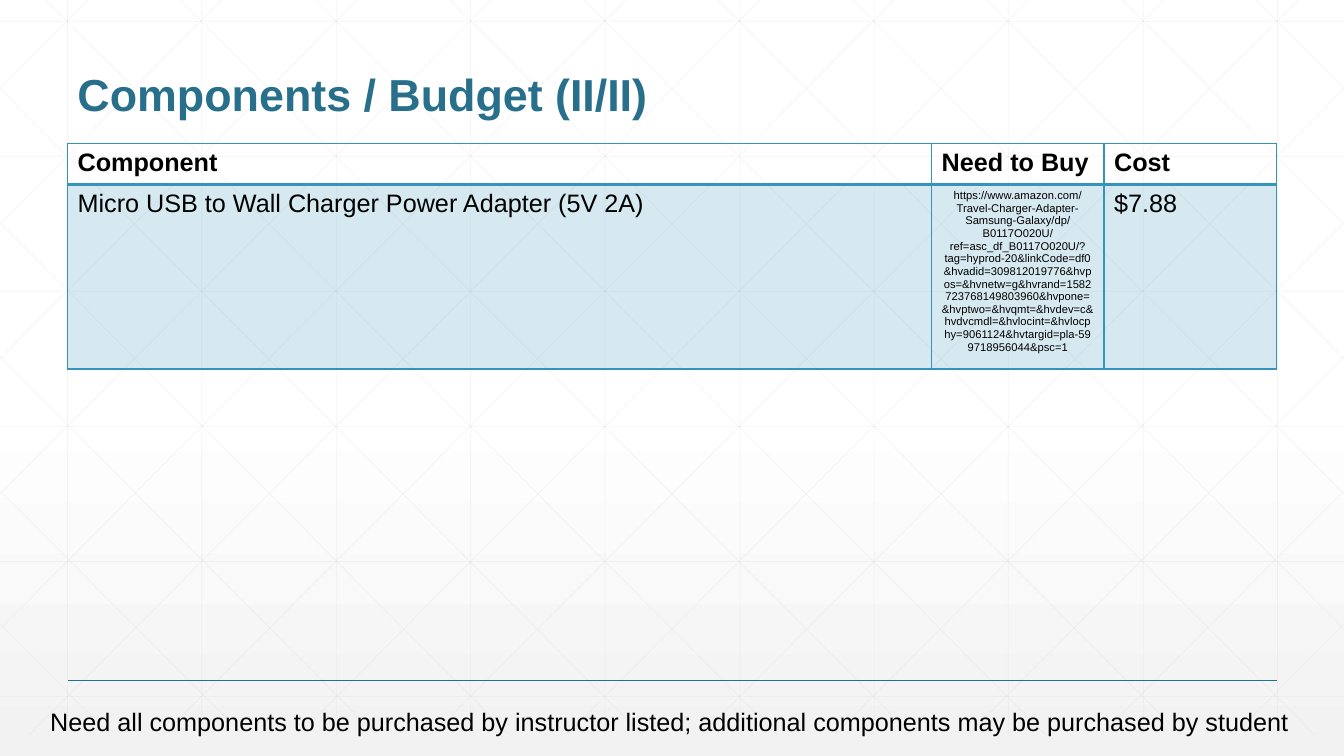
from dataclasses import dataclass

from pptx import Presentation
from pptx.dml.color import RGBColor
from pptx.enum.shapes import MSO_CONNECTOR as Connector
from pptx.enum.text import MSO_ANCHOR as Anchor, PP_ALIGN as Align
from pptx.oxml.ns import qn
from pptx.oxml.xmlchemy import OxmlElement as new_element
from pptx.util import Inches, Pt

FONT = "Arial"
BLACK = RGBColor(0x00, 0x00, 0x00)
WHITE = RGBColor(0xFF, 0xFF, 0xFF)
PALE = RGBColor(0xF2, 0xF2, 0xF2)
GRID = RGBColor(0xD9, 0xD9, 0xD9)
TEAL = RGBColor(0x27, 0x6F, 0x8B)
BLUE = RGBColor(0x34, 0x94, 0xBA)

WIDTH, HEIGHT = 13.33, 7.5
GRID_TOP, GRID_BOTTOM = -0.21, 7.29
GRID_STEP = 4 / 3
SLOPE = 1.006

LINK = (
    "https://www.amazon.com/Travel-Charger-Adapter-Samsung-Galaxy/dp/B0117O020U/"
    "ref=asc_df_B0117O020U/?tag=hyprod-20&linkCode=df0&hvadid=309812019776"
    "&hvpos=&hvnetw=g&hvrand=1582723768149803960&hvpone=&hvptwo=&hvqmt=&hvdev=c"
    "&hvdvcmdl=&hvlocint=&hvlocphy=9061124&hvtargid=pla-599718956044&psc=1"
)


@dataclass
class Line:
    x1: float
    y1: float
    x2: float
    y2: float
    color: RGBColor = GRID
    width: float = 0.5
    alpha: int = 25

    def mirrored(self) -> "Line":
        return Line(WIDTH - self.x1, self.y1, WIDTH - self.x2, self.y2)


@dataclass
class Entry:
    text: str
    size: int = 18
    bold: bool = False
    align: Align = Align.LEFT


ROWS = [
    [Entry("Component", bold=True), Entry("Need to Buy", bold=True), Entry("Cost", bold=True)],
    [Entry("Micro USB to Wall Charger Power Adapter (5V 2A)"),
     Entry(LINK, size=8, align=Align.CENTER), Entry("$7.88")],
]


def set_alpha(parent, alpha: int) -> None:
    """Make the solid colour inside parent partly transparent."""
    color = parent.find(".//" + qn("a:srgbClr"))
    color.append(new_element("a:alpha"))
    color[-1].set("val", str(alpha * 1000))


def add_color(parent, color: RGBColor) -> None:
    value = new_element("a:srgbClr")
    value.set("val", str(color))
    parent.append(value)


def write(frame, text: str, *, size: int = 18, bold: bool = False,
          color: RGBColor = BLACK, align: Align = Align.LEFT,
          spacing: float = 1.0) -> None:
    para = frame.paragraphs[0]
    para.alignment = align
    para.line_spacing = spacing
    span = para.add_run()
    span.text = text
    span.font.name, span.font.size, span.font.bold = FONT, Pt(size), bold
    span.font.color.rgb = color


def add_line(page, line: Line) -> None:
    ends = (Inches(round(value, 2)) for value in (line.x1, line.y1, line.x2, line.y2))
    connector = page.shapes.add_connector(Connector.STRAIGHT, *ends)
    connector.line.color.rgb = line.color
    connector.line.width = Pt(line.width)
    properties = connector._element.spPr
    if line.alpha < 100:
        set_alpha(properties, line.alpha)
    properties.append(new_element("a:effectLst"))


def paint_background(page) -> None:
    fill = page.background.fill
    fill.gradient()
    fill.gradient_angle = 270
    stops = page.element.find(".//" + qn("a:gsLst"))
    for stop in list(stops):
        stops.remove(stop)
    for position, color, alpha in ((0, WHITE, 100), (53, WHITE, 100), (100, PALE, 65)):
        stop = new_element("a:gs")
        stop.set("pos", str(position * 1000))
        add_color(stop, color)
        if alpha < 100:
            set_alpha(stop, alpha)
        stops.append(stop)


def grid_lines() -> list[Line]:
    columns = [0.67 + GRID_STEP * i for i in range(10)]
    lines = [Line(x, GRID_TOP, x, GRID_BOTTOM) for x in columns]
    levels = [0.21 + 1.34 * i for i in range(6)]
    lines += [Line(0, y, WIDTH, y) for y in levels]

    # Diagonals from the top edge stop at the bottom or the right side
    diagonals = []
    for i in range(10):
        x = 0.25 + GRID_STEP * i
        end = min(WIDTH, x + (GRID_BOTTOM - GRID_TOP) / SLOPE)
        diagonals.append(Line(x, GRID_TOP, end, GRID_TOP + (end - x) * SLOPE))
    # Diagonals from the bottom edge stop at the left side
    for i in range(5):
        x = 6.37 - 1.32 * i
        diagonals.append(Line(x, GRID_BOTTOM, 0, GRID_BOTTOM - x * SLOPE))
    return lines + diagonals + [line.mirrored() for line in diagonals]


def set_borders(cell, *, top: float, bottom: float) -> None:
    properties = cell._tc.get_or_add_tcPr()
    for side, width in (("L", 1), ("R", 1), ("T", top), ("B", bottom)):
        border = new_element(f"a:ln{side}")
        border.set("w", str(Pt(width)))
        border.append(new_element("a:solidFill"))
        add_color(border[0], BLUE)
        properties.append(border)


def add_budget(page) -> None:
    table = page.shapes.add_table(
        2, 3, Inches(0.67), Inches(1.42), Inches(12), Inches(2.14)).table
    table.first_row = table.horz_banding = False
    for column, width in zip(table.columns, (8.57, 1.71, 1.71)):
        column.width = Inches(width)
    for row, height in zip(table.rows, (0.41, 1.73)):
        row.height = Inches(height)
    for r, entries in enumerate(ROWS):
        for c, entry in enumerate(entries):
            cell = table.cell(r, c)
            write(cell.text_frame, entry.text, size=entry.size,
                  bold=entry.bold, align=entry.align)
            if r == 0:
                set_borders(cell, top=1, bottom=2)
                cell.fill.background()
            else:
                set_borders(cell, top=2, bottom=1)
                cell.fill.solid()
                cell.fill.fore_color.rgb = BLUE
                set_alpha(cell._tc.tcPr.find(qn("a:solidFill")), 20)


def add_text(page, left: float, top: float, width: float, height: float, text: str,
             *, anchor: Anchor = Anchor.TOP, wrap: bool = True, **style) -> None:
    box = page.shapes.add_textbox(Inches(left), Inches(top), Inches(width), Inches(height))
    box.text_frame.word_wrap = wrap
    box.text_frame.vertical_anchor = anchor
    write(box.text_frame, text, **style)


def main() -> None:
    deck = Presentation()
    deck.slide_width, deck.slide_height = Inches(WIDTH), Inches(HEIGHT)
    page = deck.slides.add_slide(deck.slide_layouts[6])

    # Backdrop and footer rule
    paint_background(page)
    for line in grid_lines():
        add_line(page, line)
    add_line(page, Line(0.67, 6.75, 12.67, 6.75, color=TEAL, width=1, alpha=100))

    # Title, budget table and note
    add_text(page, 0.67, 0.25, 12, 1, "Components / Budget (II/II)",
             anchor=Anchor.BOTTOM, size=32, bold=True, color=TEAL, spacing=0.9)
    add_budget(page)
    add_text(page, 0.4, 6.96, 12.6, 0.4,
             "Need all components to be purchased by instructor listed; "
             "additional components may be purchased by student", wrap=False)

    deck.save("out.pptx")


if __name__ == "__main__":
    main()
